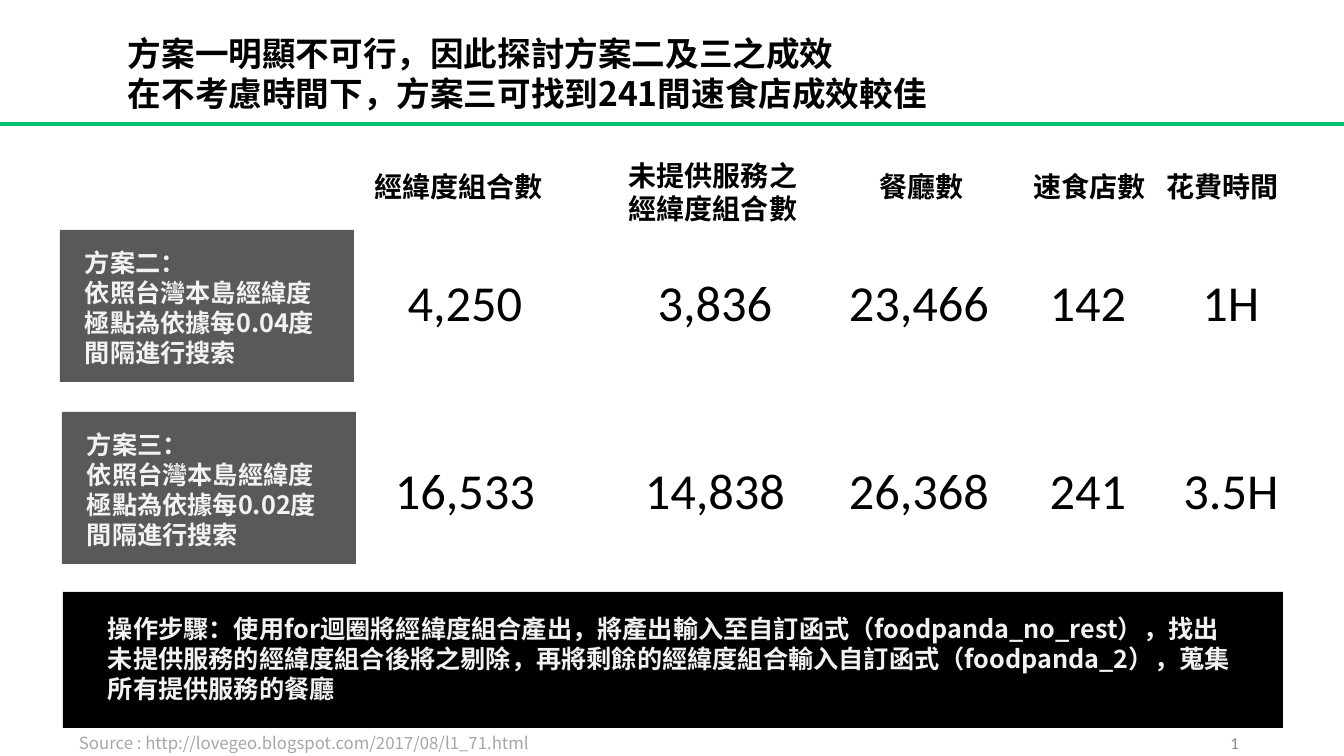
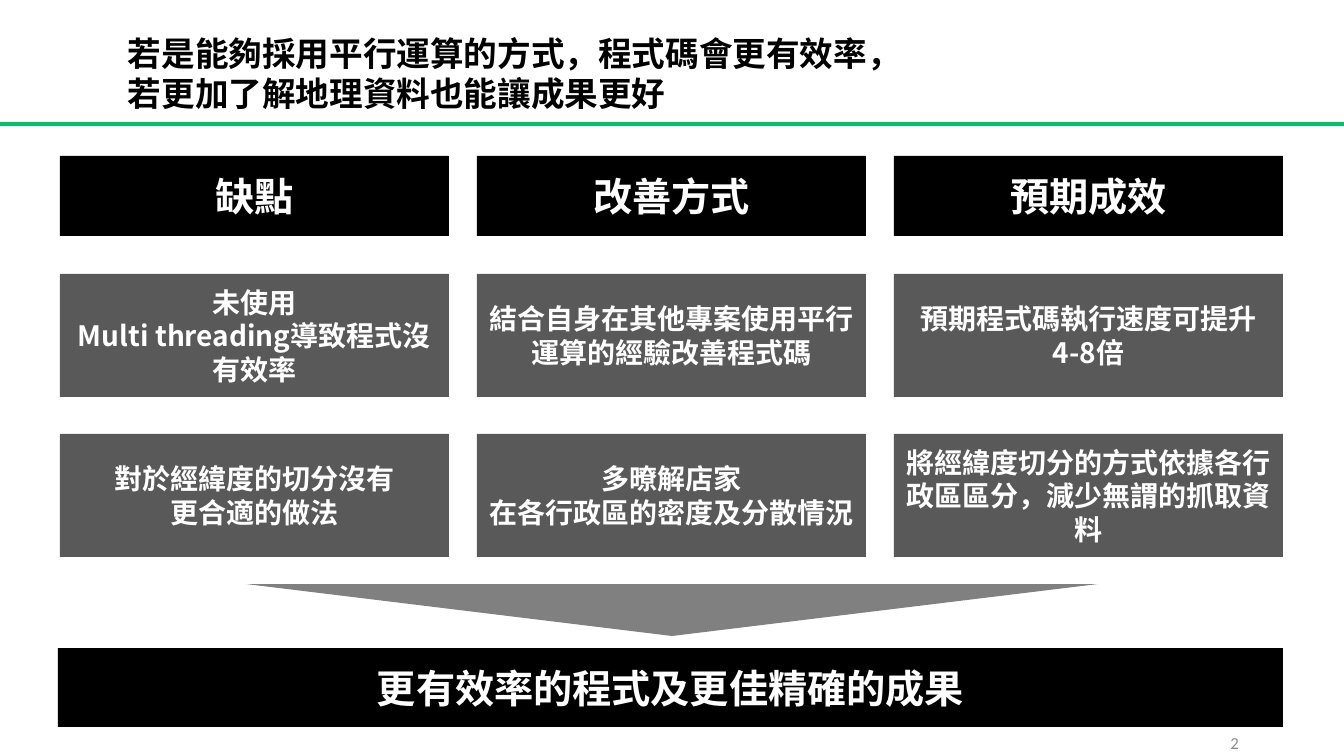
import lxml.etree
import pptx
import pptx.dml.color
import pptx.enum.shapes
import pptx.enum.text
import pptx.oxml.ns
import pptx.util

RGBColor = pptx.dml.color.RGBColor
SHAPE = pptx.enum.shapes.MSO_SHAPE
ALIGN = pptx.enum.text.PP_ALIGN
ANCHOR = pptx.enum.text.MSO_ANCHOR
qn = pptx.oxml.ns.qn

BLACK = RGBColor(0x00, 0x00, 0x00)
WHITE = RGBColor(0xFF, 0xFF, 0xFF)
OFF_WHITE = RGBColor(0xF2, 0xF2, 0xF2)
DARK_GRAY = RGBColor(0x59, 0x59, 0x59)
MID_GRAY = RGBColor(0x80, 0x80, 0x80)
SOURCE_GRAY = RGBColor(0xA6, 0xA6, 0xA6)
PAGE_GRAY = RGBColor(0x8C, 0x8C, 0x8C)
GREEN = RGBColor(0x02, 0xC1, 0x6B)

CJK_FONT = "Noto Sans CJK TC"
NUMBER_FONT = "Calibri"
SLIDE_W, SLIDE_H = 1344, 756
EMU_PER_PX = 12192000 / SLIDE_W
INSETS = (10, 5, 10, 5)


def px(n):
    return pptx.util.Emu(round(n * EMU_PER_PX))


def write(tf, text, size=20, color=BLACK, bold=True, font=CJK_FONT,
          align=ALIGN.LEFT, anchor=ANCHOR.TOP, insets=INSETS):
    """Fill a text frame, one paragraph for each line of text."""
    tf.word_wrap = True
    tf.auto_size = pptx.enum.text.MSO_AUTO_SIZE.NONE
    tf.vertical_anchor = anchor
    tf.margin_left, tf.margin_top, tf.margin_right, tf.margin_bottom = map(px, insets)
    for i, line in enumerate(text.split("\n")):
        p = tf.add_paragraph() if i else tf.paragraphs[0]
        p.alignment = align
        r = p.add_run()
        r.text = line
        r.font.size = pptx.util.Pt(size)
        r.font.bold = bold
        r.font.color.rgb = color
        r.font.name = font
        ea = lxml.etree.SubElement(r.font._element, qn("a:ea"))
        ea.set("typeface", font)


def add_text(s, box, text, **fmt):
    sp = s.shapes.add_textbox(*map(px, box))
    write(sp.text_frame, text, **fmt)
    return sp


def add_block(s, box, fill, text="", shape=SHAPE.RECTANGLE, **fmt):
    sp = s.shapes.add_shape(shape, *map(px, box))
    sp.shadow.inherit = False
    sp.fill.solid()
    sp.fill.fore_color.rgb = fill
    sp.line.fill.background()
    if text:
        write(sp.text_frame, text, **fmt)
    return sp


def add_centered_block(s, box, fill, text, size):
    add_block(s, box, fill, text, size=size, color=WHITE,
              align=ALIGN.CENTER, anchor=ANCHOR.MIDDLE)


def add_page_number(s, number):
    sp = add_text(s, (947, 723, 302, 40), str(number), size=12, color=PAGE_GRAY,
                  bold=False, font=NUMBER_FONT, align=ALIGN.RIGHT, anchor=ANCHOR.MIDDLE)
    p = sp.text_frame.paragraphs[0]
    r = p.runs[0]._r
    field = lxml.etree.SubElement(p._p, qn("a:fld"), type="slidenum",
                                  id="{B6F15528-21DE-4FAA-801E-634DDDAF4B2B}")
    field.extend(list(r))
    p._p.remove(r)


def add_slide(prs, title, number):
    """Start a slide with the shared title, green rule and page number."""
    s = prs.slides.add_slide(prs.slide_layouts[5])
    sp = s.shapes.title
    sp.left, sp.top, sp.width, sp.height = map(px, (118, 28, 1210, 92))
    write(sp.text_frame, title, size=24)
    rule = s.shapes.add_connector(pptx.enum.shapes.MSO_CONNECTOR.STRAIGHT,
                                  px(0), px(124), px(SLIDE_W), px(124))
    rule.line.color.rgb = GREEN
    rule.line.width = pptx.util.Pt(2.25)
    lxml.etree.SubElement(rule._element.spPr, qn("a:effectLst"))
    add_page_number(s, number)
    return s


def add_result_column(s, box, label, label_center, center, values):
    """Place a heading and its values; centers are relative to the box."""
    x, y, w, h = box
    two_lines = "\n" in label
    add_text(s, (x + label_center - 100, y if two_lines else y + 11, 200, 78),
             label, align=ALIGN.CENTER)
    for row, value in enumerate(values):
        add_text(s, (x + center - 90, y + 113 + row * 188, 180, 72), value, size=36,
                 bold=False, font=NUMBER_FONT, align=ALIGN.CENTER)


def add_results(s, box):
    columns = [
        ("經緯度組合數", 104, 110, ("4,250", "16,533")),
        ("未提供服務之\n經緯度組合數", 358, 360, ("3,836", "14,838")),
        ("餐廳數", 567, 564, ("23,466", "26,368")),
        ("速食店數", 735, 733, ("142", "241")),
        ("花費時間", 868, 876, ("1H", "3.5H")),
    ]
    for column in columns:
        add_result_column(s, box, *column)


def add_plans(s, box):
    x, y, w, h = box
    for i, (name, step) in enumerate((("方案二", "0.04"), ("方案三", "0.02"))):
        add_block(s, (x + 2 * i, y + 182 * i, w, h), DARK_GRAY,
                  f"{name}：\n依照台灣本島經緯度極點為依據每{step}度間隔進行搜索",
                  size=18, color=OFF_WHITE, insets=(25, 17, 34, 5))


def build_comparison(prs):
    s = add_slide(prs, "方案一明顯不可行，因此探討方案二及三之成效\n"
                  "在不考慮時間下，方案三可找到241間速食店成效較佳", 4)
    add_plans(s, (60, 230, 294, 152))
    add_results(s, (355, 153, 960, 376))
    add_block(s, (63, 592, 1220, 136), BLACK,
              "操作步驟：使用for迴圈將經緯度組合產出，將產出輸入至自訂函式"
              "（foodpanda_no_rest），找出未提供服務的經緯度組合後將之剔除，"
              "再將剩餘的經緯度組合輸入自訂函式（foodpanda_2），蒐集所有提供服務的餐廳",
              size=18, color=OFF_WHITE, insets=(45, 21, 46, 5))
    add_text(s, (69, 728, 547, 28), "Source : http://lovegeo.blogspot.com/2017/08/l1_71.html",
             size=12, color=SOURCE_GRAY, bold=False)


def add_improvement_column(s, box, heading, points):
    x, y, w, h = box
    add_centered_block(s, (x, y, w, 80), BLACK, heading, 28)
    for row, point in enumerate(points):
        add_centered_block(s, (x, y + 118 + 160 * row, w, 123), DARK_GRAY, point, 20)


def build_improvements(prs):
    s = add_slide(prs, "若是能夠採用平行運算的方式，程式碼會更有效率，\n"
                  "若更加了解地理資料也能讓成果更好", 5)
    columns = [
        ("缺點", ("未使用\nMulti threading導致程式沒有效率",
                "對於經緯度的切分沒有\n更合適的做法")),
        ("改善方式", ("結合自身在其他專案使用平行運算的經驗改善程式碼",
                  "多暸解店家\n在各行政區的密度及分散情況")),
        ("預期成效", ("預期程式碼執行速度可提升\n4-8倍",
                  "將經緯度切分的方式依據各行政區區分，減少無謂的抓取資料")),
    ]
    for i, (heading, points) in enumerate(columns):
        add_improvement_column(s, (60 + 417 * i, 156, 389, 401), heading, points)
    arrow = add_block(s, (246, 584, 852, 52), MID_GRAY, shape=SHAPE.ISOSCELES_TRIANGLE)
    arrow.rotation = 180
    add_centered_block(s, (58, 648, 1225, 79), BLACK, "更有效率的程式及更佳精確的成果", 28)


def main():
    prs = pptx.Presentation()
    prs.slide_width, prs.slide_height = px(SLIDE_W), px(SLIDE_H)
    build_comparison(prs)
    build_improvements(prs)
    prs.save("out.pptx")


if __name__ == "__main__":
    main()
